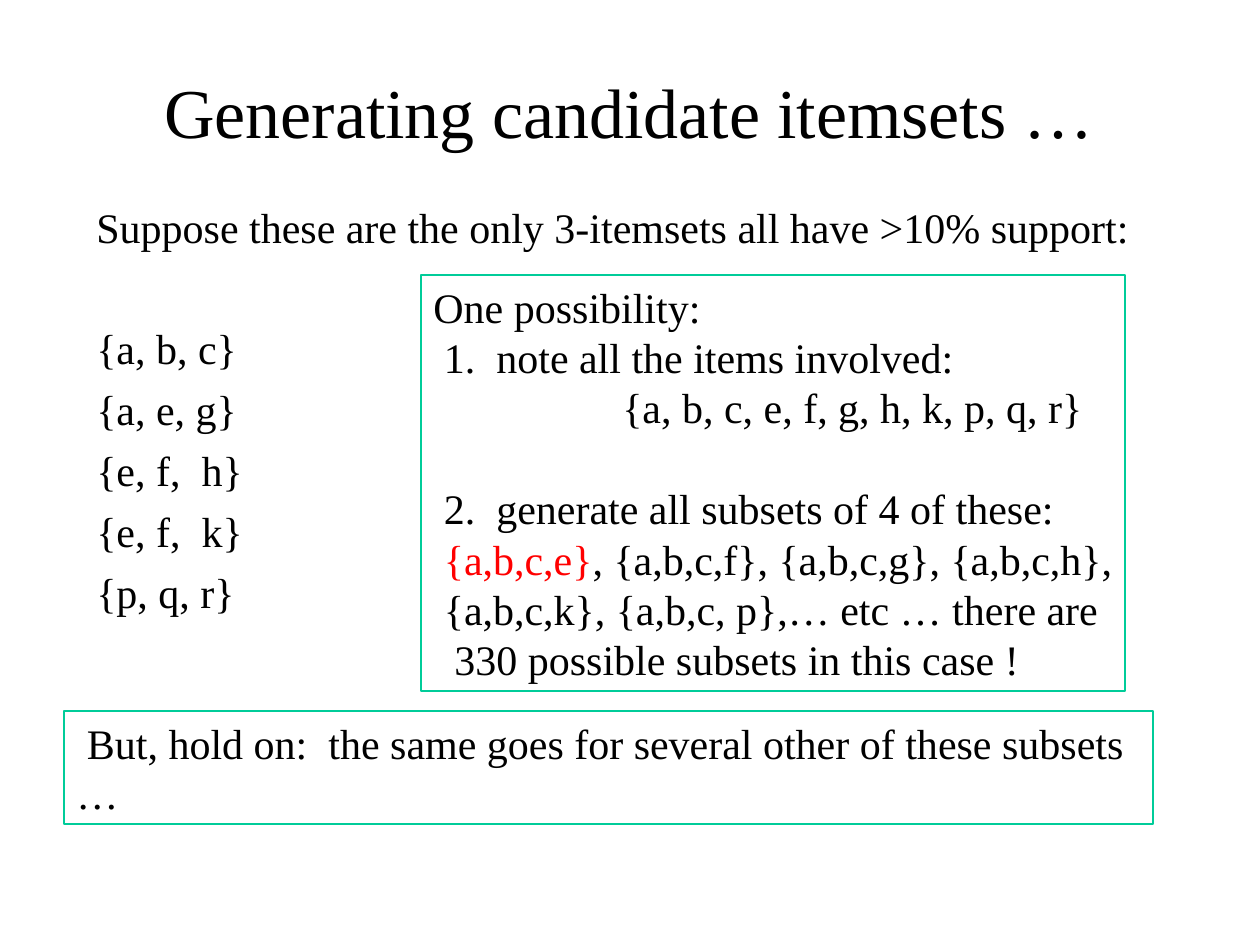
import pptx
import pptx.dml.color
import pptx.enum.shapes
import pptx.enum.text
import pptx.util
import lxml.etree

SCALE = 914400 / 126
COLORS = {"text": "000000", "frame": "00CC99", "accent": "FF0000"}
FONT = "Times New Roman"
LINE = 28.8


def place(sp, left, top, width, height):
    sp.left, sp.top, sp.width, sp.height = [
        round(v * SCALE) for v in (left, top, width, height)]


def write(tf, lines):
    for i, (parts, margin, indent, before) in enumerate(lines):
        p = tf.paragraphs[0] if i == 0 else tf.add_paragraph()
        for text, color in parts:
            r = p.add_run()
            r.text = text
            if color != "text":
                r.font.color.rgb = pptx.dml.color.RGBColor.from_string(COLORS[color])
        p.alignment = pptx.enum.text.PP_ALIGN.LEFT
        p.line_spacing = pptx.util.Pt(LINE)
        p.space_before = pptx.util.Pt(before)
        p.font.size = pptx.util.Pt(24)
        p.font.name = FONT
        p.font.color.rgb = pptx.dml.color.RGBColor.from_string(COLORS["text"])
        pPr = p._p.get_or_add_pPr()
        pPr.set("marL", str(pptx.util.Pt(margin)))
        pPr.set("indent", str(pptx.util.Pt(indent)))


prs = pptx.Presentation()
prs.slide_width = pptx.util.Inches(10)
prs.slide_height = pptx.util.Inches(7.5)
s = prs.slides.add_slide(prs.slide_layouts[5])

title = s.shapes.title
place(title, 94, 32, 1071, 158)
tf = title.text_frame
tf.text = "Generating candidate itemsets …"
tf.vertical_anchor = pptx.enum.text.MSO_ANCHOR.MIDDLE
p = tf.paragraphs[0]
p.alignment = pptx.enum.text.PP_ALIGN.CENTER
p.font.size = pptx.util.Pt(40)
p.font.name = FONT
p.font.color.rgb = pptx.dml.color.RGBColor.from_string(COLORS["text"])

body = s.shapes.add_textbox(0, 0, 0, 0)
place(body, 84, 195, 1081, 645)
body.text_frame.word_wrap = True
itemsets = ["{a, b, c}", "{a, e, g}", "{e, f,  h}", "{e, f,  k}", "{p, q, r}"]
lines = [([("Suppose these are the only 3-itemsets all have >10% support:", "text")], 0, 0, 6)]
for i, itemset in enumerate(itemsets):
    lines.append(([(itemset, "text")], 0, 0, 12 + LINE if i == 0 else 6))
write(body.text_frame, lines)

possibility = [
    ([("One possibility:", "text")], 0, 0, 0),
    ([("1.\tnote all the items involved:", "text")], 36, -30, 0),
    ([("{a, b, c, e, f, g, h, k, p, q, r}", "text")], 108, 0, 0),
    ([("2.\tgenerate all subsets of 4 of these:", "text")], 36, -30, LINE),
    ([("{a,b,c,e}", "accent"),
      (", {a,b,c,f}, {a,b,c,g}, {a,b,c,h},", "text")], 6, 0, 0),
    ([("{a,b,c,k}, {a,b,c, p},… etc … there are", "text")], 6, 0, 0),
    ([("330 possible subsets in this case !", "text")], 12, 0, 0),
]
remark = [
    ([("But, hold on:\tthe same goes for several other of these subsets …", "text")], 0, 6, 0),
]
boxes = [
    ((421, 275, 704, 416), False, possibility),
    ((64, 711, 1089, 113), True, remark),
]
for box, wrap, lines in boxes:
    sp = s.shapes.add_shape(pptx.enum.shapes.MSO_SHAPE.RECTANGLE, 0, 0, 0, 0)
    place(sp, *box)
    sp.shadow.inherit = False
    sp.fill.background()
    sp.line.color.rgb = pptx.dml.color.RGBColor.from_string(COLORS["frame"])
    sp.line.width = pptx.util.Pt(0.75)
    tf = sp.text_frame
    tf.word_wrap = wrap
    tf.auto_size = pptx.enum.text.MSO_AUTO_SIZE.SHAPE_TO_FIT_TEXT
    tf.vertical_anchor = pptx.enum.text.MSO_ANCHOR.TOP
    write(tf, lines)

pPr = tf.paragraphs[0]._p.get_or_add_pPr()
ns = "{http://schemas.openxmlformats.org/drawingml/2006/main}"
tabs = lxml.etree.Element(ns + "tabLst")
lxml.etree.SubElement(tabs, ns + "tab", pos=str(pptx.util.Pt(150)), algn="l")
pPr.find(ns + "defRPr").addprevious(tabs)

prs.save("out.pptx")
